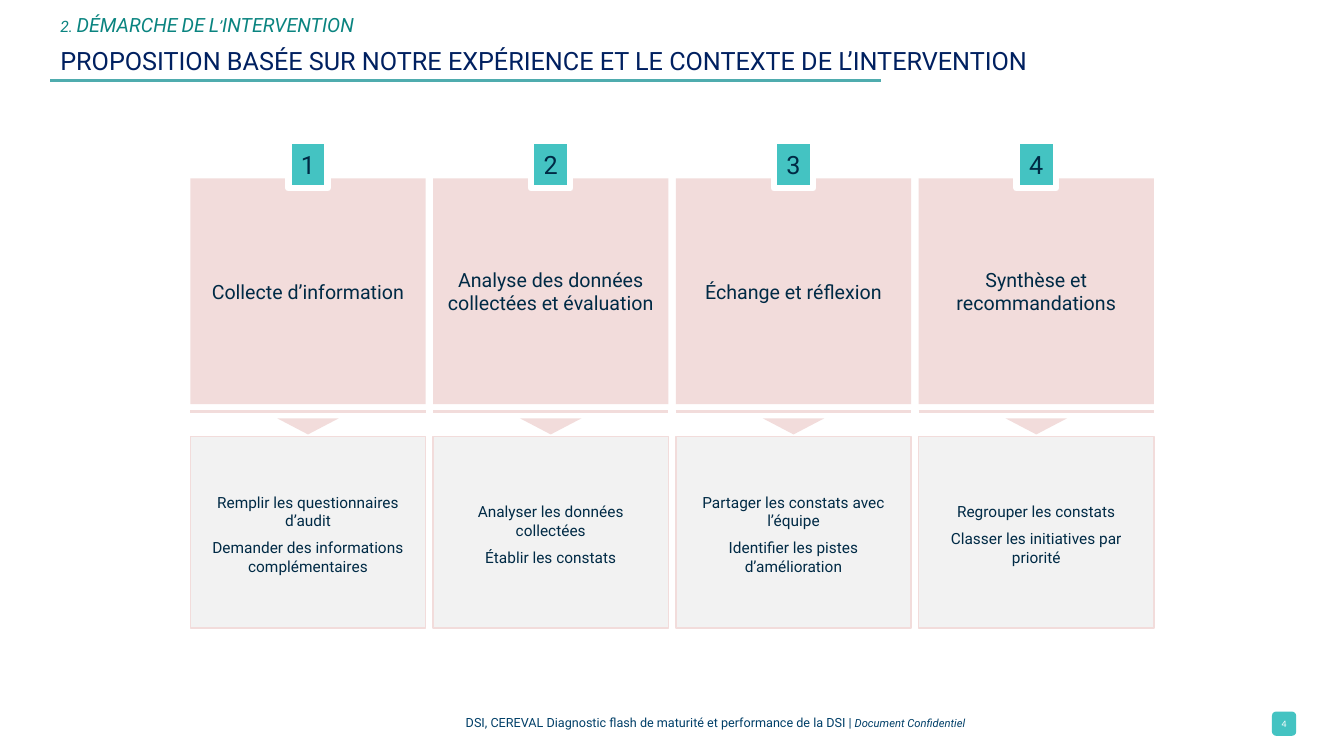
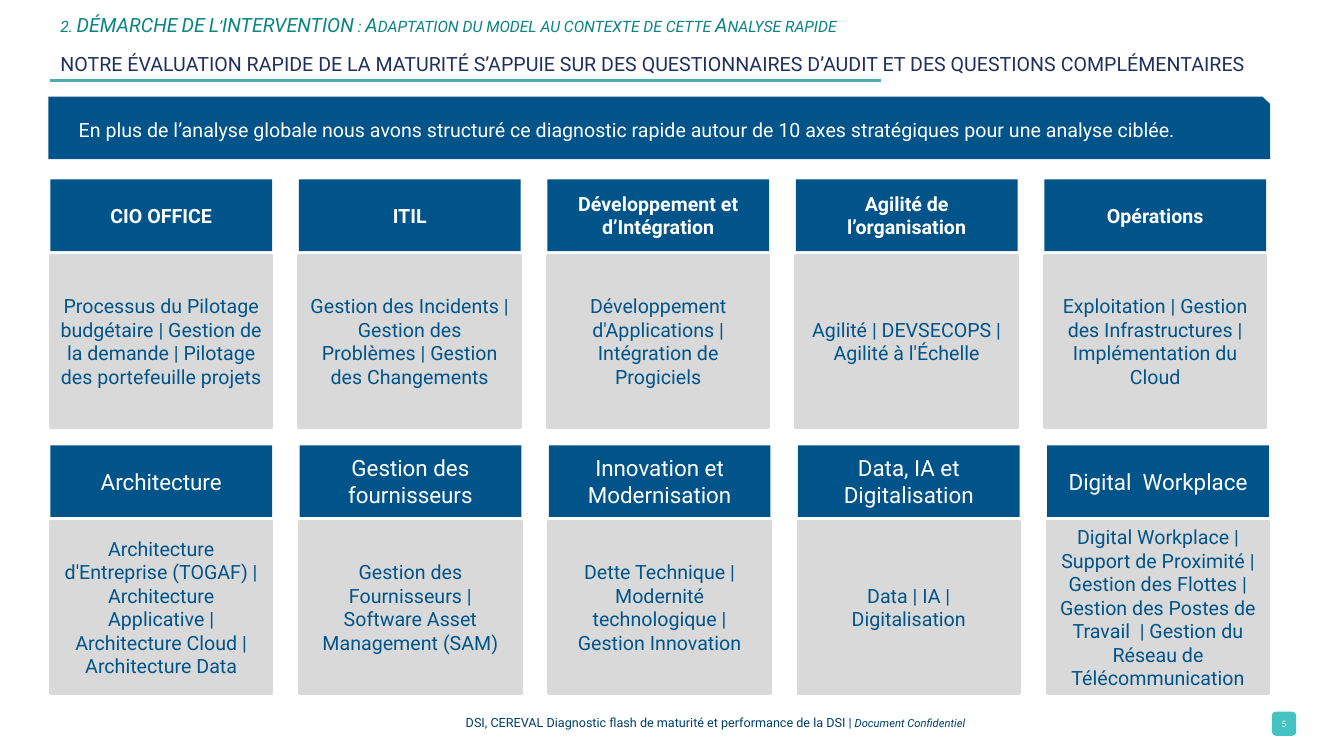
from lxml.etree import SubElement
from pptx import Presentation
from pptx.dml.color import RGBColor
from pptx.enum.shapes import MSO_CONNECTOR, MSO_SHAPE
from pptx.enum.text import MSO_ANCHOR, PP_ALIGN
from pptx.oxml.ns import qn
from pptx.util import Pt

# Content
SECTION = "2. DÉMARCHE DE L’INTERVENTION"
FOOTER = [("DSI, CEREVAL Diagnostic flash de maturité et performance de la DSI | ", {}),
          ("Document Confidentiel", {"size": 8, "italic": True})]

STEPS = [
    ("Collecte d’information",
     ["Remplir les questionnaires d’audit", "Demander des informations complémentaires"]),
    ("Analyse des données collectées et évaluation",
     ["Analyser les données collectées", "Établir les constats"]),
    ("Échange et réflexion",
     ["Partager les constats avec l’équipe", "Identifier les pistes d’amélioration"]),
    ("Synthèse et recommandations",
     ["Regrouper les constats", "Classer les initiatives par priorité"]),
]

INTRO = ("En plus de l’analyse globale nous avons structuré ce diagnostic rapide "
         "autour de 10 axes stratégiques pour une analyse ciblée.")
# Each row of themes: column pitch, heading format, (heading, topics) pairs
THEMES = [
    (177.5, {"size": 14, "bold": True}, [
        ("CIO OFFICE", "Processus du Pilotage budgétaire | Gestion de la demande | "
                       "Pilotage des portefeuille projets"),
        ("ITIL", "Gestion des Incidents | Gestion des Problèmes | Gestion des Changements"),
        ("Développement et d’Intégration",
         "Développement d'Applications | Intégration de Progiciels"),
        ("Agilité de l’organisation", "Agilité | DEVSECOPS | Agilité à l'Échelle"),
        ("Opérations",
         "Exploitation | Gestion des Infrastructures | Implémentation du Cloud"),
    ]),
    (178, {"size": 16}, [
        ("Architecture", "Architecture d'Entreprise (TOGAF) | Architecture Applicative | "
                         "Architecture Cloud | Architecture Data"),
        ("Gestion des fournisseurs",
         "Gestion des Fournisseurs | Software Asset Management (SAM)"),
        ("Innovation et Modernisation",
         "Dette Technique | Modernité technologique | Gestion Innovation"),
        ("Data, IA et Digitalisation", "Data | IA | Digitalisation"),
        ("Digital  Workplace",
         "Digital Workplace | Support de Proximité | Gestion des Flottes | Gestion des "
         "Postes de Travail  | Gestion du Réseau de Télécommunication"),
    ]),
]

COLORS = {"white": "FFFFFF", "rule": "4FACAE", "foot": "003F68", "section": "0A8480",
          "navy": "002060", "slate": "212F5C", "teal": "44C3C2", "ink": "002A45",
          "pink": "F2DCDB", "pale": "F2F2F2", "blue": "00548A", "gray": "D9D9D9"}


def color(name):
    return RGBColor.from_string(COLORS[name])


# Drawing helpers
def text(shape, paras, size=14, ink="ink", font="Roboto", bold=False, italic=False,
         small=False, align=PP_ALIGN.CENTER, anchor=MSO_ANCHOR.MIDDLE,
         inset=(7.2, 3.6, 7.2, 3.6), after=0, lead=None):
    """Fill a shape; a paragraph is a string or a list of (words, format) runs."""
    frame = shape.text_frame
    frame.word_wrap = True
    frame.vertical_anchor = anchor
    (frame.margin_left, frame.margin_top,
     frame.margin_right, frame.margin_bottom) = map(Pt, inset)
    for i, item in enumerate(paras):
        para = frame.paragraphs[0] if i == 0 else frame.add_paragraph()
        para.alignment = align
        para.space_after = Pt(after)
        if lead:
            para.line_spacing = Pt(lead)
        for words, own in [(item, {})] if isinstance(item, str) else item:
            run = para.add_run()
            run.text = words
            run.font.name = font
            run.font.size = Pt(own.get("size", size))
            run.font.bold = bold
            run.font.italic = own.get("italic", italic)
            run.font.color.rgb = color(ink)
            if small:
                run.font._element.set("cap", "small")


def box(slide, x, y, w, h, fill, kind=MSO_SHAPE.RECTANGLE, line=None, width=1, adj=None):
    shape = slide.shapes.add_shape(kind, Pt(x), Pt(y), Pt(w), Pt(h))
    shape.shadow.inherit = False
    shape.fill.solid()
    shape.fill.fore_color.rgb = color(fill)
    if line:
        shape.line.color.rgb = color(line)
        shape.line.width = Pt(width)
    else:
        shape.line.fill.background()
    if adj is not None:
        shape.adjustments[0] = adj
    return shape


def area(slide, x, y, w, h):
    return slide.shapes.add_textbox(Pt(x), Pt(y), Pt(w), Pt(h))


def rule(slide, x, y, w, tint, width):
    line = slide.shapes.add_connector(MSO_CONNECTOR.STRAIGHT, Pt(x), Pt(y), Pt(x + w), Pt(y))
    line.line.color.rgb = color(tint)
    line.line.width = Pt(width)
    SubElement(line._element.spPr, qn("a:effectLst"))


def page(deck, number, section, title, size, ink):
    """Add a slide with the shared header and footer."""
    slide = deck.slides.add_slide(deck.slide_layouts[6])
    rule(slide, 36, 57.6, 593.3, "rule", 2)
    text(area(slide, 252, 499, 518.4, 33.8), [FOOTER], size=9, ink="foot")
    text(area(slide, 36, 3.6, 650, 22), [section], ink="section", italic=True, small=True,
         align=PP_ALIGN.LEFT, anchor=MSO_ANCHOR.TOP, lead=19.2)
    text(area(slide, 36, 23.8, 898, 33.8), [title], size=size, ink=ink,
         align=PP_ALIGN.LEFT, lead=26)
    badge = box(slide, 908.6, 508.3, 17.3, 17.3, "teal", MSO_SHAPE.ROUNDED_RECTANGLE, adj=0.17)
    text(badge, [str(number)], size=7, ink="white", font="Calibri", inset=(2.9,) * 4)
    return slide


def steps(deck):
    slide = page(deck, 4, SECTION,
                 "PROPOSITION BASÉE SUR NOTRE EXPÉRIENCE ET LE CONTEXTE DE L’INTERVENTION",
                 18, "navy")
    left, pitch, wide = 136, 173.4, 168
    for i, (name, tasks) in enumerate(STEPS):
        x = left + i * pitch
        mid = x + wide / 2
        # Step card with its number
        text(box(slide, x, 127.4, wide, 161.3, "pink"), [name], inset=(0, 3.6, 0, 3.6))
        text(box(slide, mid - 14, 100.8, 28, 33.8, "teal", line="white", width=4.5),
             [str(i + 1)], size=18, after=6)
        # Rule and arrow down to the tasks
        rule(slide, x, 293.8, wide, "pink", 2.25)
        box(slide, mid - 22, 298.8, 44, 11.5, "pink", MSO_SHAPE.ISOSCELES_TRIANGLE).rotation = 180
        text(box(slide, x, 311.8, wide, 136.8, "pale", line="pink"), tasks,
             size=11, inset=(7.2, 8.6, 7.2, 5.8), after=6)


def themes(deck):
    slide = page(deck, 5,
                 SECTION + " : Adaptation du model au contexte de cette Analyse rapide",
                 "NOTRE ÉVALUATION RAPIDE DE LA MATURITÉ S’APPUIE SUR DES QUESTIONNAIRES "
                 "D’AUDIT ET DES QUESTIONS COMPLÉMENTAIRES", 14, "slate")
    # Introduction band
    band = box(slide, 34.6, 69, 872.6, 44.6, "blue", MSO_SHAPE.SNIP_1_RECTANGLE, adj=0.12)
    text(band, [INTRO], ink="white", align=PP_ALIGN.LEFT, inset=(21.6, 3.6, 7.2, 3.6))
    # Theme grid
    left, top, drop, wide = 36, 128.2, 190, 158.4
    for r, (pitch, style, cells) in enumerate(THEMES):
        y = top + r * drop
        for c, (name, topics) in enumerate(cells):
            x = left + c * pitch
            text(box(slide, x, y, wide, 51.1, "blue"), [name], ink="white", **style)
            text(box(slide, x, y + 54, wide, 123.1, "gray", line="gray", width=2),
                 [topics], ink="blue")


def main():
    deck = Presentation()
    deck.slide_width, deck.slide_height = Pt(960), Pt(540)
    steps(deck)
    themes(deck)
    deck.save("out.pptx")


if __name__ == "__main__":
    main()
